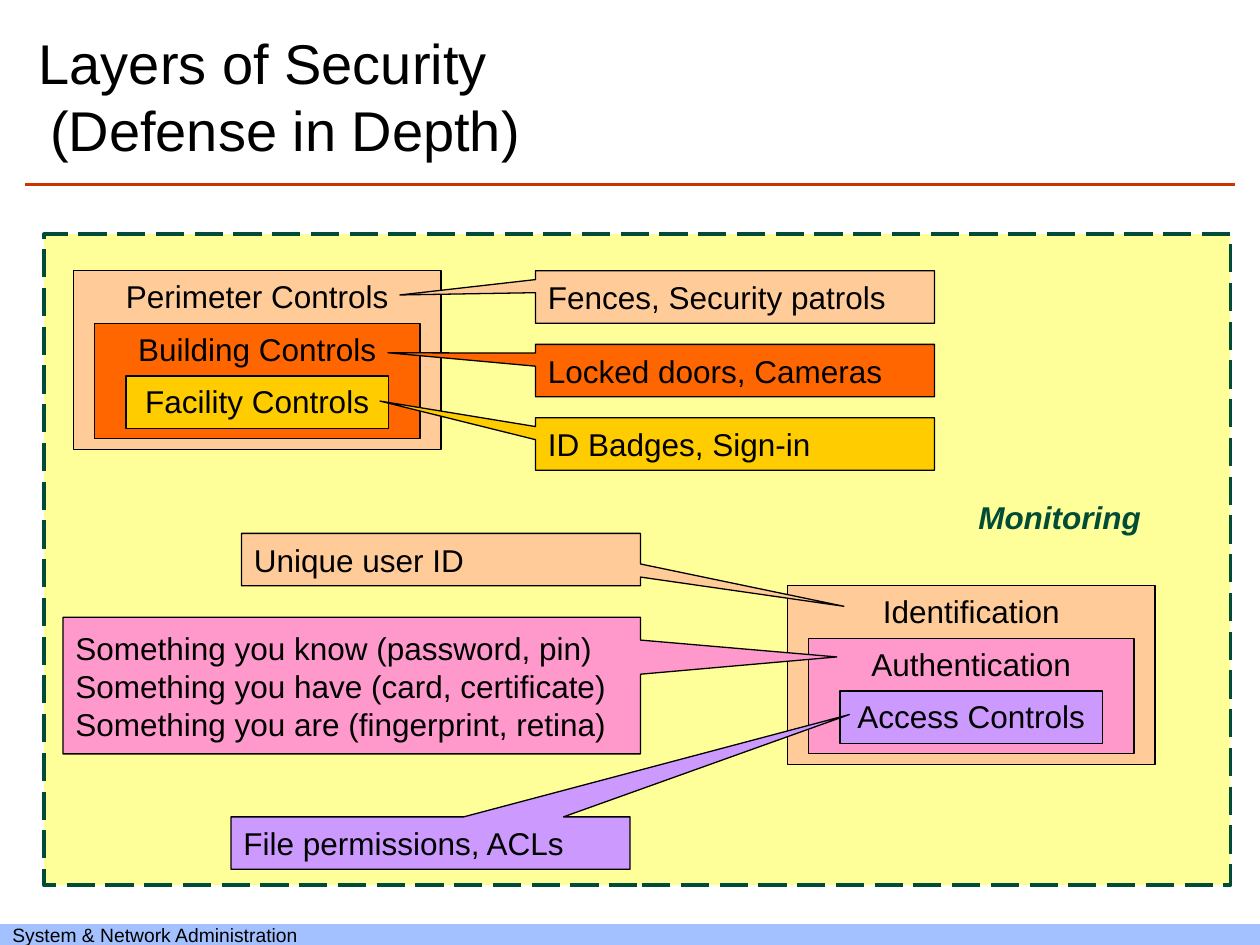
from lxml.etree import SubElement
from pptx import Presentation
from pptx.dml.color import RGBColor
from pptx.enum.dml import MSO_LINE
from pptx.enum.shapes import MSO_CONNECTOR, MSO_SHAPE
from pptx.enum.text import MSO_ANCHOR, PP_ALIGN
from pptx.oxml.ns import qn
from pptx.util import Inches, Pt

BLACK = RGBColor(0x00, 0x00, 0x00)
RED = RGBColor(0xCC, 0x33, 0x00)
BLUE = RGBColor(0xA2, 0xC1, 0xFE)
GREEN = RGBColor(0x00, 0x4C, 0x36)
CREAM = RGBColor(0xFF, 0xFF, 0x99)
PEACH = RGBColor(0xFF, 0xCC, 0x99)
ORANGE = RGBColor(0xFF, 0x66, 0x00)
GOLD = RGBColor(0xFF, 0xCC, 0x00)
PINK = RGBColor(0xFF, 0x99, 0xCC)
LILAC = RGBColor(0xCC, 0x99, 0xFF)

CELL = 1 / 12  # grid step in inches
TOP = 2.15     # row 0 is the top edge of the first box

# Column, row, width and height of each nested layer, from the outer corner
LAYERS = [(0, 0, 35, 17), (2, 5, 31, 11), (5, 10, 25, 5)]


class Board:
    """Draws on one slide; places are (column, row, width, height) in cells."""

    font = {"name": "Arial", "size": Pt(18)}

    def __init__(self, slide):
        self.shapes = slide.shapes

    def place(self, col, row, wide=0, high=0):
        return (Inches(col * CELL), Inches(TOP + row * CELL),
                Inches(wide * CELL), Inches(high * CELL))

    def letter(self, shape, text, align=PP_ALIGN.LEFT, anchor=MSO_ANCHOR.MIDDLE,
               color=BLACK, **style):
        frame = shape.text_frame
        frame.word_wrap = True
        frame.vertical_anchor = anchor
        frame.text = text
        for para in frame.paragraphs:
            para.alignment = align
            for run in para.runs:
                for key, value in {**self.font, **style}.items():
                    setattr(run.font, key, value)
                run.font.color.rgb = color
        return frame

    def label(self, spot, text, **style):
        return self.letter(self.shapes.add_textbox(*self.place(*spot)), text, **style)

    def box(self, spot, fill, line=BLACK, width=0.75, kind=MSO_SHAPE.RECTANGLE):
        shape = self.shapes.add_shape(kind, *self.place(*spot))
        shape.shadow.inherit = False
        shape.fill.solid()
        shape.fill.fore_color.rgb = fill
        if line is None:
            shape.line.fill.background()
        else:
            shape.line.color.rgb = line
            shape.line.width = Pt(width)
        return shape

    def nest(self, col, row, layers):
        for (right, down, wide, high), (text, fill) in zip(LAYERS, layers):
            shape = self.box((col + right, row + down, wide, high), fill)
            self.letter(shape, text, PP_ALIGN.CENTER, MSO_ANCHOR.TOP)

    def callout(self, spot, text, fill, tip):
        """Tip is measured from the centre, in shares of the box's size."""
        shape = self.box(spot, fill, kind=MSO_SHAPE.RECTANGULAR_CALLOUT)
        for index, value in enumerate(tip):
            shape.adjustments[index] = value
        self.letter(shape, text)

    def rule(self, start, end, row, color, width):
        x1, y, *_ = self.place(start, row)
        line = self.shapes.add_connector(
            MSO_CONNECTOR.STRAIGHT, x1, y, self.place(end, row)[0], y)
        line.line.color.rgb = color
        line.line.width = Pt(width)
        SubElement(line._element.spPr, qn("a:effectLst"))


def main():
    deck = Presentation()
    deck.slide_width, deck.slide_height = Inches(10), Inches(7.5)
    board = Board(deck.slides.add_slide(deck.slide_layouts[6]))

    board.rule(2.4, 117.6, -8.2, RED, 1.5)
    footer = board.box((0, 62.2, 120, 2), BLUE, line=None)
    frame = board.letter(footer, "System & Network Administration", size=Pt(11))
    frame.margin_top = frame.margin_bottom = 0

    title = board.label((2.5, -23.4, 86.3, 13.4),
                        "Layers of Security \v(Defense in Depth)", size=Pt(32))
    props = title.paragraphs[0]._p.get_or_add_pPr()
    for key, value in {"marL": 0.09, "indent": -0.09}.items():
        props.set(key, str(Inches(value)))

    zone = board.box((4.2, -3.5, 113, 62), CREAM, GREEN, 2)
    zone.line.dash_style = MSO_LINE.LONG_DASH

    board.nest(7, 0, [("Perimeter Controls", PEACH),
                      ("Building Controls", ORANGE),
                      ("Facility Controls", GOLD)])
    physical = [("Fences, Security patrols", PEACH, (-0.84, -0.04)),
                ("Locked doors, Cameras", ORANGE, (-0.87, -0.34)),
                ("ID Badges, Sign-in", GOLD, (-0.89, -0.82))]
    for index, (text, fill, tip) in enumerate(physical):
        board.callout((51, 7 * index, 38, 5), text, fill, tip)

    board.nest(75, 30, [("Identification", PEACH),
                        ("Authentication", PINK),
                        ("Access Controls", LILAC)])
    factors = "\n".join(["Something you know (password, pin)",
                         "Something you have (card, certificate)",
                         "Something you are (fingerprint, retina)"])
    logical = [((23, 25, 38, 5), "Unique user ID", PEACH, (1.01, 0.89)),
               ((6, 33, 55, 13), factors, PINK, (0.84, -0.21)),
               ((22, 52, 38, 5), "File permissions, ACLs", LILAC, (1.05, -2.45))]
    for item in logical:
        board.callout(*item)

    board.label((92, 21, 20.2, 4.8), "Monitoring", anchor=MSO_ANCHOR.TOP,
                color=GREEN, bold=True, italic=True)

    deck.save("out.pptx")


if __name__ == "__main__":
    main()
